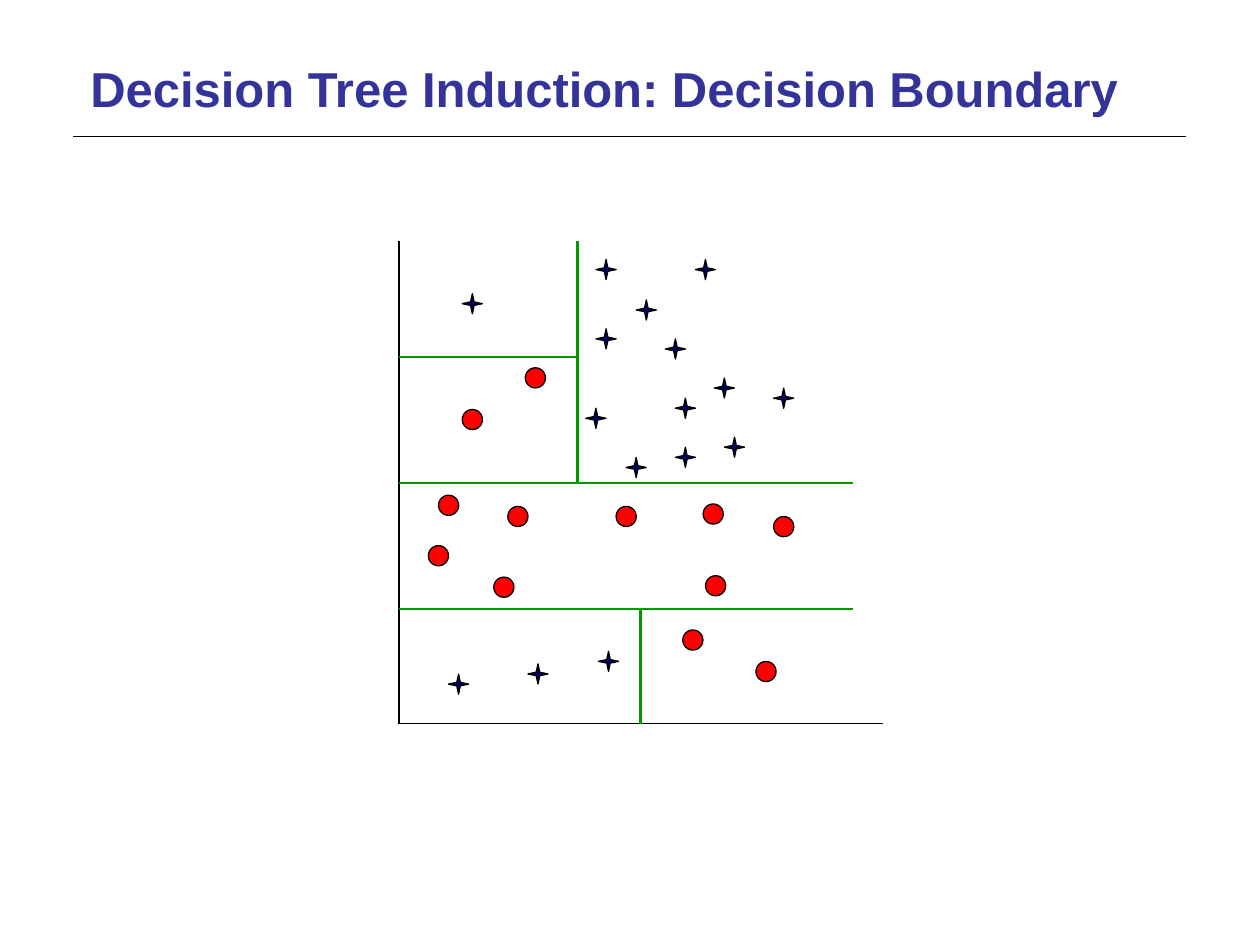
from lxml.etree import SubElement
from pptx import Presentation
from pptx.dml.color import RGBColor
from pptx.enum.shapes import MSO_CONNECTOR, MSO_SHAPE
from pptx.enum.text import MSO_ANCHOR
from pptx.oxml.ns import qn
from pptx.util import Pt

BLACK = RGBColor(0x00, 0x00, 0x00)
TITLE_BLUE = RGBColor(0x33, 0x33, 0x99)
STAR_NAVY = RGBColor(0x00, 0x00, 0x66)
CIRCLE_RED = RGBColor(0xFF, 0x00, 0x00)
BOUNDARY_GREEN = RGBColor(0x00, 0x99, 0x00)

MARKER_SIZE = 11.5
AXIS_LEFT, AXIS_TOP, AXIS_RIGHT, AXIS_BOTTOM = 228, 137.5, 504.7, 413.5
REGION_RIGHT = 487.5
UPPER_SPLIT_X, LOWER_SPLIT_X = 330, 366
UPPER_SPLIT_Y, MIDDLE_SPLIT_Y, LOWER_SPLIT_Y = 204, 276, 348

# Left and top of each marker
STARS = [
    (397.4, 148.3), (340.6, 148.3), (340.6, 187.9), (363.6, 171.4),
    (380.2, 193.7), (256.3, 385.2), (334.8, 233.3), (385.9, 227.5),
    (357.8, 261.4), (408.2, 216), (414, 249.8), (442.1, 221.8),
    (342, 372.2), (301.7, 379.4), (264.2, 167.8), (385.9, 255.6),
]
CIRCLES = [
    (244.8, 311.8), (250.6, 283), (290.2, 289.4), (300.2, 210.2),
    (282.2, 329.8), (401.8, 288), (403.2, 329), (442.1, 295.2),
    (390.2, 360), (432, 378), (352.1, 289.4), (264.2, 234),
]
AXES = [
    (AXIS_LEFT, AXIS_TOP, AXIS_LEFT, AXIS_BOTTOM),
    (AXIS_LEFT, AXIS_BOTTOM, AXIS_RIGHT, AXIS_BOTTOM),
]
BOUNDARIES = [
    (AXIS_LEFT, MIDDLE_SPLIT_Y, REGION_RIGHT, MIDDLE_SPLIT_Y),
    (UPPER_SPLIT_X, AXIS_TOP, UPPER_SPLIT_X, MIDDLE_SPLIT_Y),
    (AXIS_LEFT, UPPER_SPLIT_Y, UPPER_SPLIT_X, UPPER_SPLIT_Y),
    (AXIS_LEFT, LOWER_SPLIT_Y, REGION_RIGHT, LOWER_SPLIT_Y),
    (LOWER_SPLIT_X, LOWER_SPLIT_Y, LOWER_SPLIT_X, AXIS_BOTTOM),
]


def add_text(slide, text, left, top, width, height, *, size, color,
             font="Arial", bold=False, inset=3.6):
    frame = slide.shapes.add_textbox(
        Pt(left), Pt(top), Pt(width), Pt(height)).text_frame
    frame.word_wrap = True
    frame.vertical_anchor = MSO_ANCHOR.TOP
    frame.margin_left = frame.margin_right = Pt(inset)
    frame.margin_top = frame.margin_bottom = Pt(inset)
    run = frame.paragraphs[0].add_run()
    run.text = text
    run.font.name = font
    run.font.size = Pt(size)
    run.font.bold = bold
    run.font.color.rgb = color


def add_line(slide, ends, color=BLACK, width=0.75):
    line = slide.shapes.add_connector(
        MSO_CONNECTOR.STRAIGHT, *(Pt(value) for value in ends))
    line.line.color.rgb = color
    line.line.width = Pt(width)
    SubElement(line._element.spPr, qn("a:effectLst"))


def add_marker(slide, preset, left, top, color):
    marker = slide.shapes.add_shape(
        preset, Pt(left), Pt(top), Pt(MARKER_SIZE), Pt(MARKER_SIZE))
    marker.shadow.inherit = False
    marker.fill.solid()
    marker.fill.fore_color.rgb = color
    marker.line.color.rgb = BLACK
    marker.line.width = Pt(0.75)
    return marker


def main():
    presentation = Presentation()
    presentation.slide_width, presentation.slide_height = Pt(720), Pt(540)
    slide = presentation.slides.add_slide(presentation.slide_layouts[6])

    add_line(slide, (42, 78, 678, 78), width=1)
    add_text(slide, "Decision Tree Induction: Decision Boundary",
             48, 30, 624, 72, size=28, color=TITLE_BLUE, bold=True)

    for axis in AXES:
        add_line(slide, axis)
    for left, top in STARS:
        star = add_marker(slide, MSO_SHAPE.STAR_4_POINT, left, top, STAR_NAVY)
        star.adjustments[0] = 0.125
    for left, top in CIRCLES:
        add_marker(slide, MSO_SHAPE.OVAL, left, top, CIRCLE_RED)
    for boundary in BOUNDARIES:
        add_line(slide, boundary, BOUNDARY_GREEN, 1.5)

    presentation.save("out.pptx")


if __name__ == "__main__":
    main()
